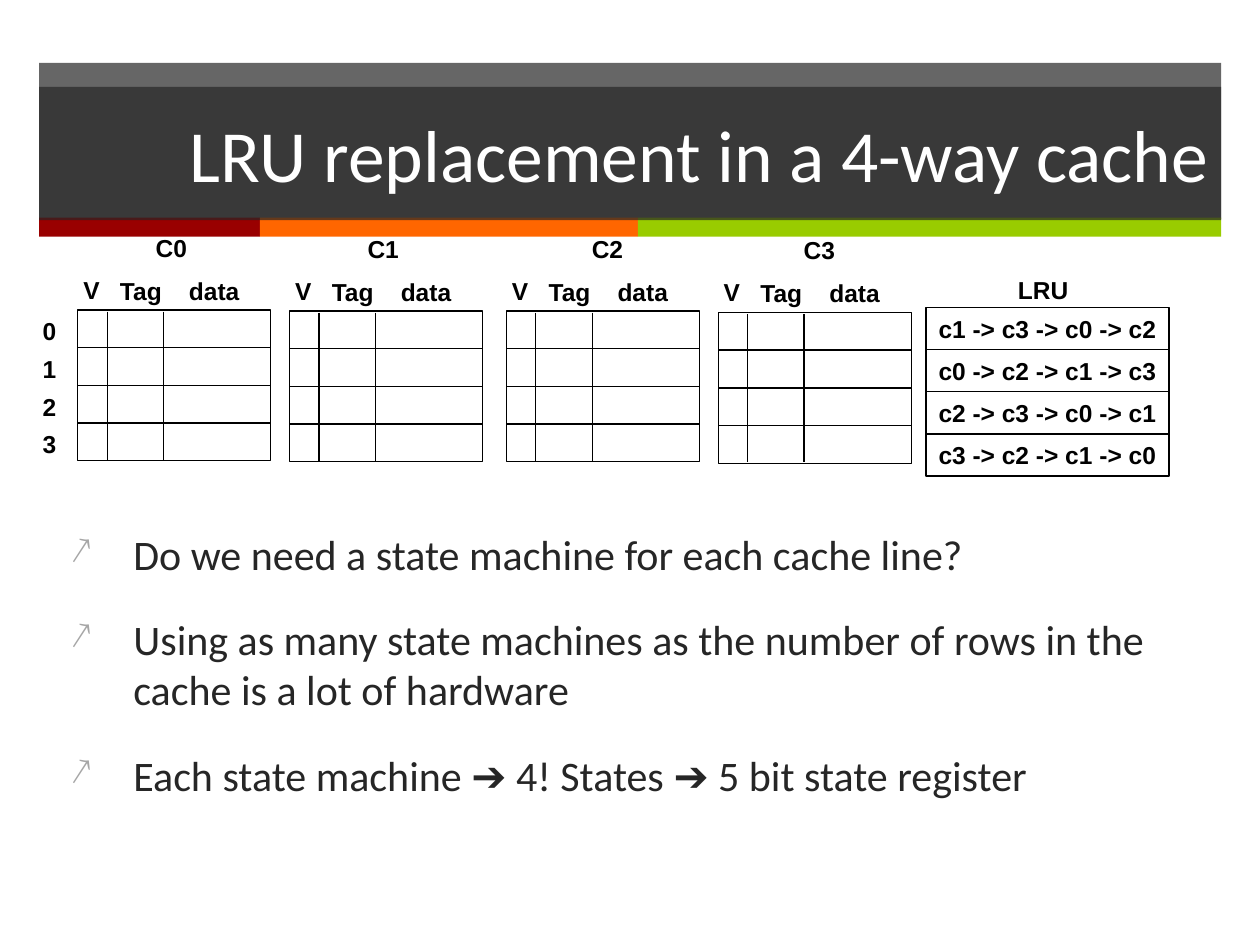
"""Build a slide on LRU replacement in a 4-way set-associative cache."""
from lxml.etree import SubElement
from pptx import Presentation
from pptx.dml.color import RGBColor
from pptx.enum.shapes import MSO_CONNECTOR, MSO_SHAPE
from pptx.enum.text import MSO_ANCHOR, PP_ALIGN
from pptx.oxml.ns import qn
from pptx.util import Cm, Pt

COLORS = {
    name: RGBColor.from_string(value)
    for name, value in {
        "dark": "262626", "red": "990000", "orange": "FF6600", "green": "99CC00",
        "black": "000000", "white": "FFFFFF", "bullet": "A6A6A6",
    }.items()
}
ROW_HEIGHT = 0.76
CACHE_WIDTH = 3.89
CACHES = [("C0", 1.57, 6.25, 1.32), ("C1", 5.84, 6.27, 1.32),
          ("C2", 10.21, 6.27, 1.47), ("C3", 14.48, 6.3, 1.47)]
LRU_ORDERS = ["c1 -> c3 -> c0 -> c2", "c0 -> c2 -> c1 -> c3",
              "c2 -> c3 -> c0 -> c1", "c3 -> c2 -> c1 -> c0"]
POINTS = [
    "Do we need a state machine for each cache line?",
    "Using as many state machines as the number of rows in the cache is a lot of hardware",
    "Each state machine ➔ 4! States ➔ 5 bit state register",
]

presentation = Presentation()
presentation.slide_width, presentation.slide_height = Cm(25.4), Cm(19.05)
slide = presentation.slides.add_slide(presentation.slide_layouts[6])


def add_box(left, top, width, height, fill=None, alpha=None):
    shape = slide.shapes.add_shape(
        MSO_SHAPE.RECTANGLE, Cm(left), Cm(top), Cm(width), Cm(height))
    shape.shadow.inherit = False
    if fill:
        shape.fill.solid()
        shape.fill.fore_color.rgb = COLORS[fill]
        shape.line.fill.background()
    else:
        shape.fill.background()
        shape.line.color.rgb = COLORS["black"]
        shape.line.width = Pt(0.75)
    if alpha:
        color = shape.element.spPr.find(qn("a:solidFill"))[0]
        SubElement(color, qn("a:alpha"), val=str(alpha * 1000))
    return shape


def add_label(text, left, top, width, height=0.84):
    box = slide.shapes.add_textbox(Cm(left), Cm(top), Cm(width), Cm(height))
    box.text_frame.word_wrap = False
    paragraph = box.text_frame.paragraphs[0]
    paragraph.text = text
    paragraph.font.name, paragraph.font.size = "Arial", Pt(14)
    paragraph.font.bold = True
    paragraph.font.color.rgb = COLORS["black"]


add_box(0.79, 1.27, 23.83, 3.15, "dark", 70)
for color_name, left, width in [
        ("red", 0.79, 4.45), ("orange", 5.24, 7.62), ("green", 12.86, 11.76)]:
    add_box(left, 4.39, width, 0.38, color_name)

title = add_box(0.79, 1.75, 23.83, 2.69, "dark", 70)
title.text_frame.word_wrap = True
title.text_frame.vertical_anchor = MSO_ANCHOR.MIDDLE
paragraph = title.text_frame.paragraphs[0]
paragraph.text = "LRU replacement in a 4-way cache"
paragraph.alignment = PP_ALIGN.RIGHT
paragraph.font.name, paragraph.font.size = "Calibri", Pt(42)
paragraph.font.color.rgb = COLORS["white"]

for name, left, top, name_offset in CACHES:
    add_label(name, left + name_offset, top - 1.68, 1.28)
    add_label("V", left - 0.14, top - 0.84, 0.84)
    add_label("Tag", left + 0.6, top - 0.81, 1.52)
    add_label("data", left + 1.99, top - 0.81, 1.8)
    for row in range(4):
        add_box(left, top + row * ROW_HEIGHT, CACHE_WIDTH, ROW_HEIGHT)
    for offset in (0.59, 1.73):
        divider = slide.shapes.add_connector(
            MSO_CONNECTOR.STRAIGHT, Cm(left + offset), Cm(top + 0.03),
            Cm(left + offset), Cm(top + 3.02))
        divider.line.color.rgb = COLORS["black"]
        divider.line.width = Pt(0.75)
        SubElement(divider.element.spPr, qn("a:effectLst"))

add_label("LRU", 20.27, 5.41, 1.52)
for row, order in enumerate(LRU_ORDERS):
    add_label(str(row), 0.61, 6.25 + row * ROW_HEIGHT, 0.79)
    top = 6.2 + row * 0.85
    add_box(18.67, top, 4.9, 0.85)
    add_label(order, 18.67, top, 4.9)

body = slide.shapes.add_textbox(Cm(1.17), Cm(10.52), Cm(23.04), Cm(7.19))
frame = body.text_frame
frame.word_wrap = True
for index, point in enumerate(POINTS):
    paragraph = frame.add_paragraph() if index else frame.paragraphs[0]
    paragraph.text = point
    if index:
        paragraph.space_before = Pt(20)
    properties = paragraph._p.get_or_add_pPr()
    properties.set("marL", str(Cm(1.27)))
    properties.set("indent", str(Cm(-1.27)))
    bullet_color = SubElement(properties, qn("a:buClr"))
    SubElement(bullet_color, qn("a:srgbClr"), val=str(COLORS["bullet"]))
    SubElement(properties, qn("a:buSzPct"), val="90000")
    SubElement(properties, qn("a:buChar"), char="↗")
    paragraph.font.name, paragraph.font.size = "Calibri", Pt(24)
    paragraph.font.color.rgb = COLORS["dark"]

presentation.save("out.pptx")
